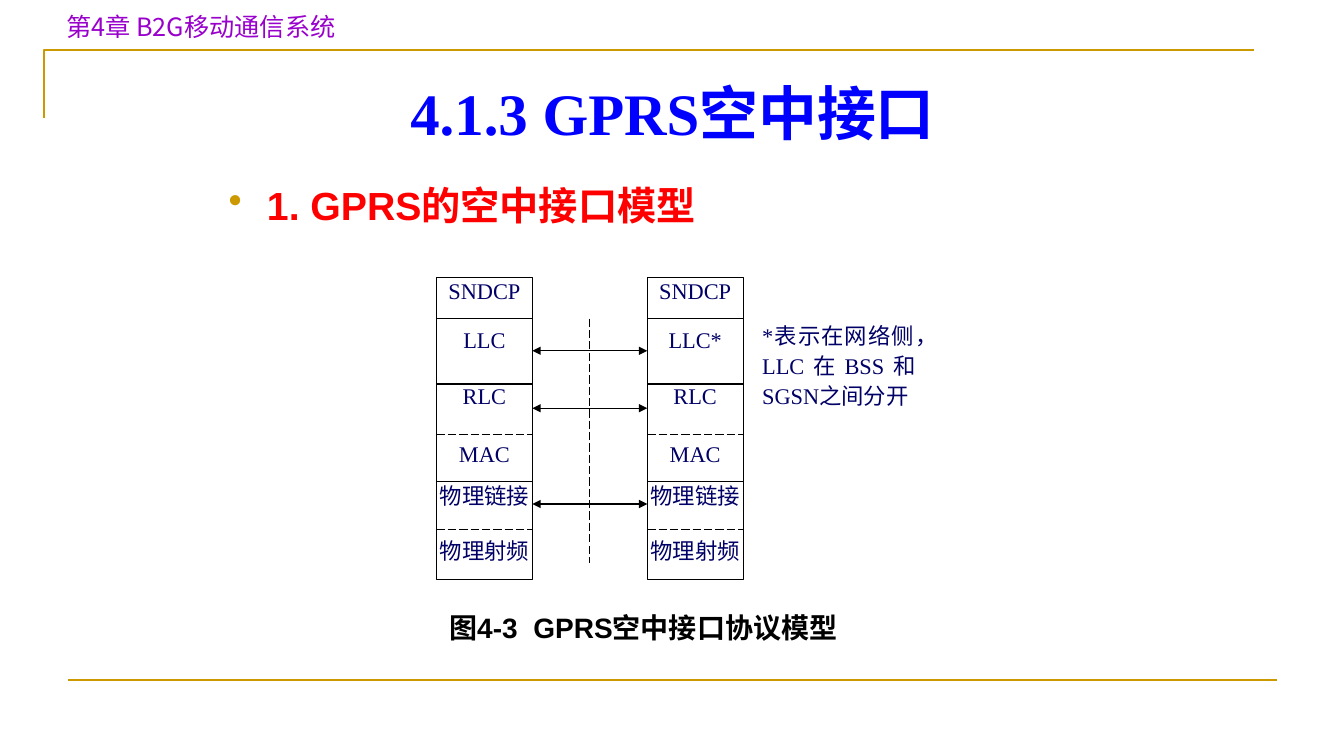
"""Build the slide on the GPRS air interface protocol model."""
from dataclasses import dataclass

from lxml import etree
from pptx import Presentation
from pptx.dml.color import RGBColor
from pptx.enum import dml, shapes, text
from pptx.oxml import ns
from pptx.util import Inches, Pt

CHAPTER = "第4章 B2G移动通信系统"
TITLE = "4.1.3 GPRS空中接口"
HEADING = "1. GPRS的空中接口模型"
NOTE = "*表示在网络侧，LLC在BSS和SGSN之间分开"
CAPTION = "图4-3  GPRS空中接口协议模型"
STACKS = [(4.33, "LLC"), (6.42, "LLC*")]
STACK_WIDTH = 0.95
BOXES = [(2.75, 0.41), (3.16, 0.65), (3.81, 0.97), (4.78, 0.97)]
LAYERS = [("SNDCP", 2.75), (None, 3.24), ("RLC", 3.79),
          ("MAC", 4.37), ("物理链接", 4.78), ("物理射频", 5.33)]
SUBLAYER_LINES = [4.31, 5.25]
PEER_ARROWS = [3.48, 4.05, 5]


@dataclass(frozen=True)
class Theme:
    """Colours, fonts and type sizes."""
    gold: str = "CC9900"
    purple: str = "9900CC"
    blue: str = "0000FF"
    red: str = "FF0000"
    navy: str = "000066"
    black: str = "000000"
    white: str = "FFFFFF"
    serif: str = "Times New Roman"
    sans: str = "Arial"
    chinese: str = "Noto Sans CJK JP"
    title: int = 42
    heading: int = 28
    caption: int = 20
    chapter: int = 18
    label: int = 16
    rule: float = 1.5
    thin: float = 0.75


THEME = Theme()
ALIGN = text.PP_ALIGN
ANCHOR = text.MSO_ANCHOR


def color(value):
    """Turn a hex string into a colour."""
    return RGBColor.from_string(value)


def write(shape, words, *, size=THEME.label, font=THEME.serif, ink=THEME.navy,
          bold=False, align=ALIGN.CENTER, anchor=ANCHOR.TOP,
          inset=(0, 0), spacing=None):
    """Put one formatted paragraph in a shape and return it."""
    frame = shape.text_frame
    frame.word_wrap = True
    frame.auto_size = text.MSO_AUTO_SIZE.NONE
    frame.vertical_anchor = anchor
    frame.margin_left = frame.margin_right = Inches(inset[0])
    frame.margin_top = frame.margin_bottom = Inches(inset[1])
    paragraph = frame.paragraphs[0]
    paragraph.alignment = align
    paragraph.line_spacing = spacing
    run = paragraph.add_run()
    run.text = words
    run.font.size, run.font.name, run.font.bold = Pt(size), font, bold
    run.font.color.rgb = color(ink)
    east_asian = etree.SubElement(run.font._element, ns.qn("a:ea"))
    east_asian.set("typeface", THEME.chinese)
    return paragraph


def add_text(slide, words, left, top, width, height, **style):
    """Add a text box with one paragraph."""
    box = slide.shapes.add_textbox(*map(Inches, (left, top, width, height)))
    return write(box, words, **style)


def add_line(slide, start, end, *, ink=THEME.black, width=THEME.thin,
             dashed=False, arrows=False):
    """Add a straight line, optionally dashed or with two arrowheads."""
    connector = slide.shapes.add_connector(
        shapes.MSO_CONNECTOR.STRAIGHT, *map(Inches, (*start, *end)))
    connector.line.color.rgb = color(ink)
    connector.line.width = Pt(width)
    if dashed:
        connector.line.dash_style = dml.MSO_LINE.LONG_DASH
    if arrows:
        outline = connector.line._get_or_add_ln()
        for tag in ("a:headEnd", "a:tailEnd"):
            etree.SubElement(outline, ns.qn(tag)).set("type", "triangle")
    etree.SubElement(connector._element.spPr, ns.qn("a:effectLst"))


def add_bullet(paragraph, indent):
    """Give a paragraph a gold round bullet and a hanging indent."""
    properties = paragraph._p.get_or_add_pPr()
    properties.set("marL", str(Inches(indent)))
    properties.set("indent", str(-Inches(indent)))
    fill = etree.SubElement(properties, ns.qn("a:buClr"))
    etree.SubElement(fill, ns.qn("a:srgbClr")).set("val", THEME.gold)
    etree.SubElement(properties, ns.qn("a:buChar")).set("char", "•")


def add_frame(slide):
    """Draw the gold corner and the bottom rule."""
    builder = slide.shapes.build_freeform(Inches(0.44), Inches(1.17), scale=1.0)
    builder.add_line_segments(
        [(Inches(0.44), Inches(0.5)), (Inches(12.44), Inches(0.5))], close=False)
    corner = builder.convert_to_shape()
    corner.shadow.inherit = False
    corner.fill.background()
    corner.line.color.rgb = color(THEME.gold)
    corner.line.width = Pt(THEME.rule)
    add_line(slide, (0.67, 6.75), (12.67, 6.75), ink=THEME.gold, width=THEME.rule)


def add_stack(slide, left, link_layer):
    """Draw one protocol stack."""
    for top, height in BOXES:
        box = slide.shapes.add_shape(
            shapes.MSO_SHAPE.RECTANGLE,
            *map(Inches, (left, top, STACK_WIDTH, height)))
        box.shadow.inherit = False
        box.fill.solid()
        box.fill.fore_color.rgb = color(THEME.white)
        box.line.color.rgb = color(THEME.black)
        box.line.width = Pt(THEME.thin)
    for name, top in LAYERS:
        add_text(slide, name or link_layer, left, top, STACK_WIDTH, 0.41)
    for y in SUBLAYER_LINES:
        add_line(slide, (left, y), (left + STACK_WIDTH, y), dashed=True)


def main():
    """Build and save the presentation."""
    presentation = Presentation()
    presentation.slide_width = Inches(13.33)
    presentation.slide_height = Inches(7.5)
    slide = presentation.slides.add_slide(presentation.slide_layouts[5])

    add_frame(slide)
    add_text(slide, CHAPTER, 0.56, 0.08, 5.78, 0.4, size=THEME.chapter,
             font=THEME.chinese, ink=THEME.purple, align=ALIGN.LEFT,
             inset=(0.1, 0.03))
    title = slide.shapes.title
    title.left, title.top, title.width, title.height = map(
        Inches, (0.67, 0.67, 12, 0.88))
    write(title, TITLE, size=THEME.title, ink=THEME.blue, bold=True,
          anchor=ANCHOR.MIDDLE, inset=(0.1, 0.05))
    heading = add_text(slide, HEADING, 2.17, 1.75, 9, 0.88, size=THEME.heading,
                       font=THEME.sans, ink=THEME.red, bold=True,
                       align=ALIGN.JUSTIFY, inset=(0.1, 0.05))
    add_bullet(heading, 0.38)

    add_text(slide, NOTE, 7.56, 3.16, 1.52, 1.22, align=ALIGN.JUSTIFY,
             spacing=1.12)
    for left, link_layer in STACKS:
        add_stack(slide, left, link_layer)
    gap_start, gap_end = STACKS[0][0] + STACK_WIDTH, STACKS[1][0]
    for y in PEER_ARROWS:
        add_line(slide, (gap_start, y), (gap_end, y), arrows=True)
    middle = (gap_start + gap_end) / 2
    add_line(slide, (middle, 3.16), (middle, 5.59), dashed=True)
    add_text(slide, CAPTION, 4.17, 6, 4.42, 0.44, size=THEME.caption,
             font=THEME.sans, ink=THEME.black, bold=True,
             anchor=ANCHOR.MIDDLE, inset=(0.1, 0.05))
    presentation.save("out.pptx")


if __name__ == "__main__":
    main()
